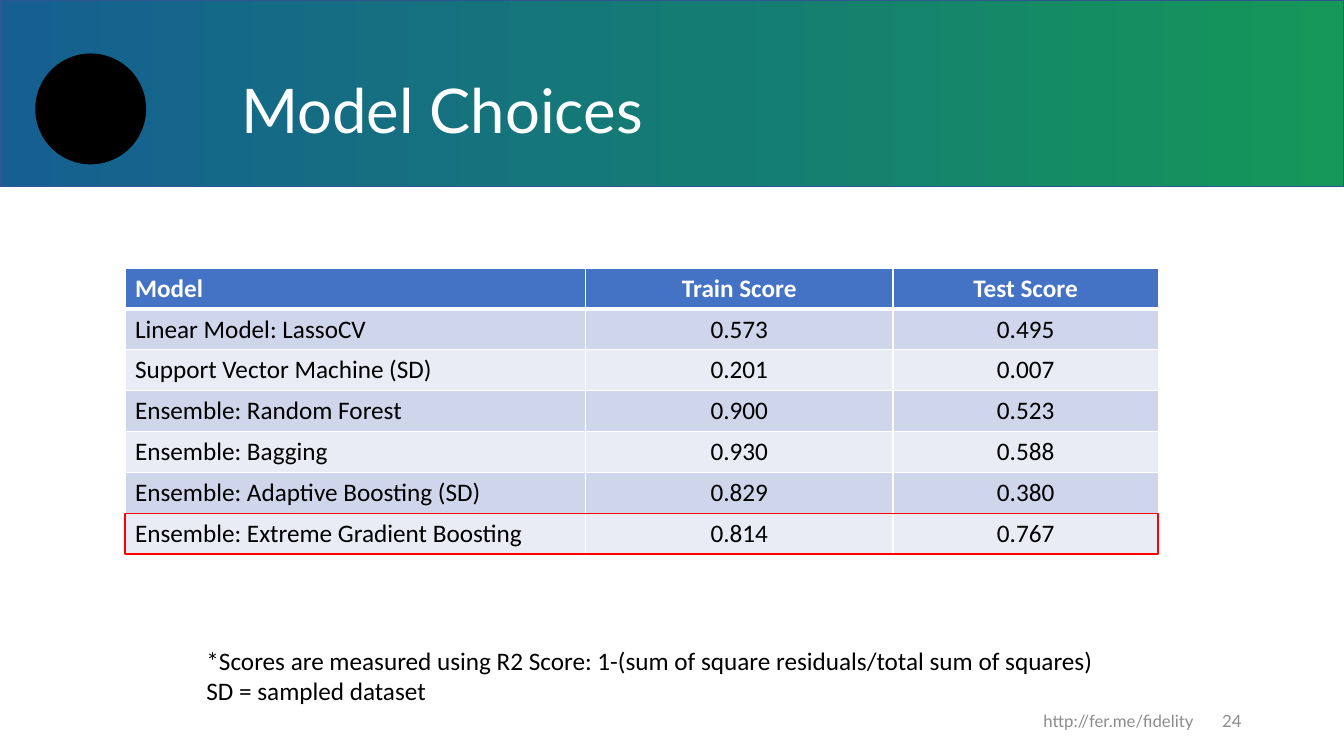
from copy import deepcopy
from lxml.etree import SubElement
from pptx import Presentation
from pptx.dml.color import RGBColor
from pptx.enum.shapes import MSO_SHAPE
from pptx.enum.text import MSO_ANCHOR, PP_ALIGN
from pptx.oxml.ns import qn
from pptx.util import Pt

COLORS = {
    "band_left": "156091", "band_middle": "157C74", "band_right": "159759",
    "band_line": "325491", "white": "FFFFFF", "black": "000000",
    "footer": "8C8C8C", "header": "4472C4", "odd_row": "CFD5EA",
    "even_row": "E9EBF5", "highlight": "FF0000",
}


def color(name):
    return RGBColor.from_string(COLORS[name])


def add_text(box, lines, font, size, color_name, align, anchor):
    left, top, width, height = box
    frame = slide.shapes.add_textbox(Pt(left), Pt(top), Pt(width), Pt(height)).text_frame
    frame.word_wrap = True
    frame.vertical_anchor = anchor
    frame.text = "\n".join(lines)
    for paragraph in frame.paragraphs:
        paragraph.alignment = align
        paragraph.font.name = font
        paragraph.font.size = Pt(size)
        paragraph.font.color.rgb = color(color_name)


prs = Presentation()
prs.slide_width, prs.slide_height = Pt(960), Pt(540)
slide = prs.slides.add_slide(prs.slide_layouts[5])

# Gradient band, behind the title
band = slide.shapes.add_shape(MSO_SHAPE.RECTANGLE, 0, 0, Pt(960), Pt(133.2))
slide.shapes._spTree.insert(2, band._element)
band.shadow.inherit = False
band.line.color.rgb = color("band_line")
band.line.width = Pt(1)
band.fill.gradient()
band.fill.gradient_angle = 0
stop_list = band._element.spPr.find(".//" + qn("a:gsLst"))
stop_list.insert(1, deepcopy(stop_list[0]))
band_stops = [(0, "band_left"), (0.53, "band_middle"), (1, "band_right")]
for stop, (position, name) in zip(band.fill.gradient_stops, band_stops):
    stop.position = position
    stop.color.rgb = color(name)

# Round emblem
emblem = slide.shapes.add_shape(MSO_SHAPE.OVAL, Pt(25.2), Pt(38.2), Pt(79.2), Pt(79.2))
emblem.shadow.inherit = False
emblem.fill.solid()
emblem.fill.fore_color.rgb = color("black")
emblem.line.fill.background()

# Title
title = slide.shapes.title
title.left, title.top, title.width, title.height = Pt(165), Pt(28.8), Pt(729), Pt(104.4)
title.text_frame.text = "Model Choices"
title.text_frame.vertical_anchor = MSO_ANCHOR.MIDDLE
heading = title.text_frame.paragraphs[0]
heading.alignment = PP_ALIGN.LEFT
heading.line_spacing = 0.9
heading.font.name = "Lato"
heading.font.size = Pt(44)
heading.font.color.rgb = color("white")

# Score table
scores = [
    ("Model", "Train Score", "Test Score"),
    ("Linear Model: LassoCV", "0.573", "0.495"),
    ("Support Vector Machine (SD)", "0.201", "0.007"),
    ("Ensemble: Random Forest", "0.900", "0.523"),
    ("Ensemble: Bagging", "0.930", "0.588"),
    ("Ensemble: Adaptive Boosting (SD)", "0.829", "0.380"),
    ("Ensemble: Extreme Gradient Boosting", "0.814", "0.767"),
]
table_left, table_top, table_width, row_height = 89.3, 191.5, 738, 29.2
table = slide.shapes.add_table(
    len(scores), 3, Pt(table_left), Pt(table_top),
    Pt(table_width), Pt(row_height * len(scores))).table
for column, width in zip(table.columns, (329, 219.6, 189.4)):
    column.width = Pt(width)
for r, score_row in enumerate(scores):
    table.rows[r].height = Pt(row_height)
    row_fill = "header" if r == 0 else "odd_row" if r % 2 else "even_row"
    for c, value in enumerate(score_row):
        cell = table.cell(r, c)
        # White borders, thick under the header
        for side in ("lnL", "lnR", "lnT", "lnB"):
            thick = (r, side) in ((0, "lnB"), (1, "lnT"))
            border = SubElement(cell._tc.get_or_add_tcPr(), qn("a:" + side),
                                w=str(Pt(3 if thick else 1)))
            border_fill = SubElement(border, qn("a:solidFill"))
            SubElement(border_fill, qn("a:srgbClr"), val=COLORS["white"])
        cell.fill.solid()
        cell.fill.fore_color.rgb = color(row_fill)
        cell.text = value
        entry = cell.text_frame.paragraphs[0]
        entry.alignment = PP_ALIGN.CENTER if c else PP_ALIGN.LEFT
        entry.font.name = "Calibri"
        entry.font.size = Pt(18)
        entry.font.bold = r == 0
        entry.font.color.rgb = color("black" if r else "white")

# Outline around the best model
best_model = slide.shapes.add_shape(
    MSO_SHAPE.RECTANGLE, Pt(table_left), Pt(table_top + row_height * (len(scores) - 1)),
    Pt(table_width), Pt(row_height))
best_model.shadow.inherit = False
best_model.fill.background()
best_model.line.color.rgb = color("highlight")
best_model.line.width = Pt(1)

# Footnote and footer
add_text((140.4, 457.2, 655.2, 51),
         ["*Scores are measured using R2 Score: 1-(sum of square residuals/total sum of squares)",
          "SD = sampled dataset"],
         "Calibri", 18, "black", PP_ALIGN.LEFT, MSO_ANCHOR.TOP)
add_text((678, 500.4, 216, 28.8), ["24"],
         "Lato", 12, "footer", PP_ALIGN.RIGHT, MSO_ANCHOR.MIDDLE)
add_text((678, 500.4, 242, 28.8), ["http://fer.me/fidelity"],
         "Lato", 12, "footer", PP_ALIGN.CENTER, MSO_ANCHOR.MIDDLE)

prs.save("out.pptx")
